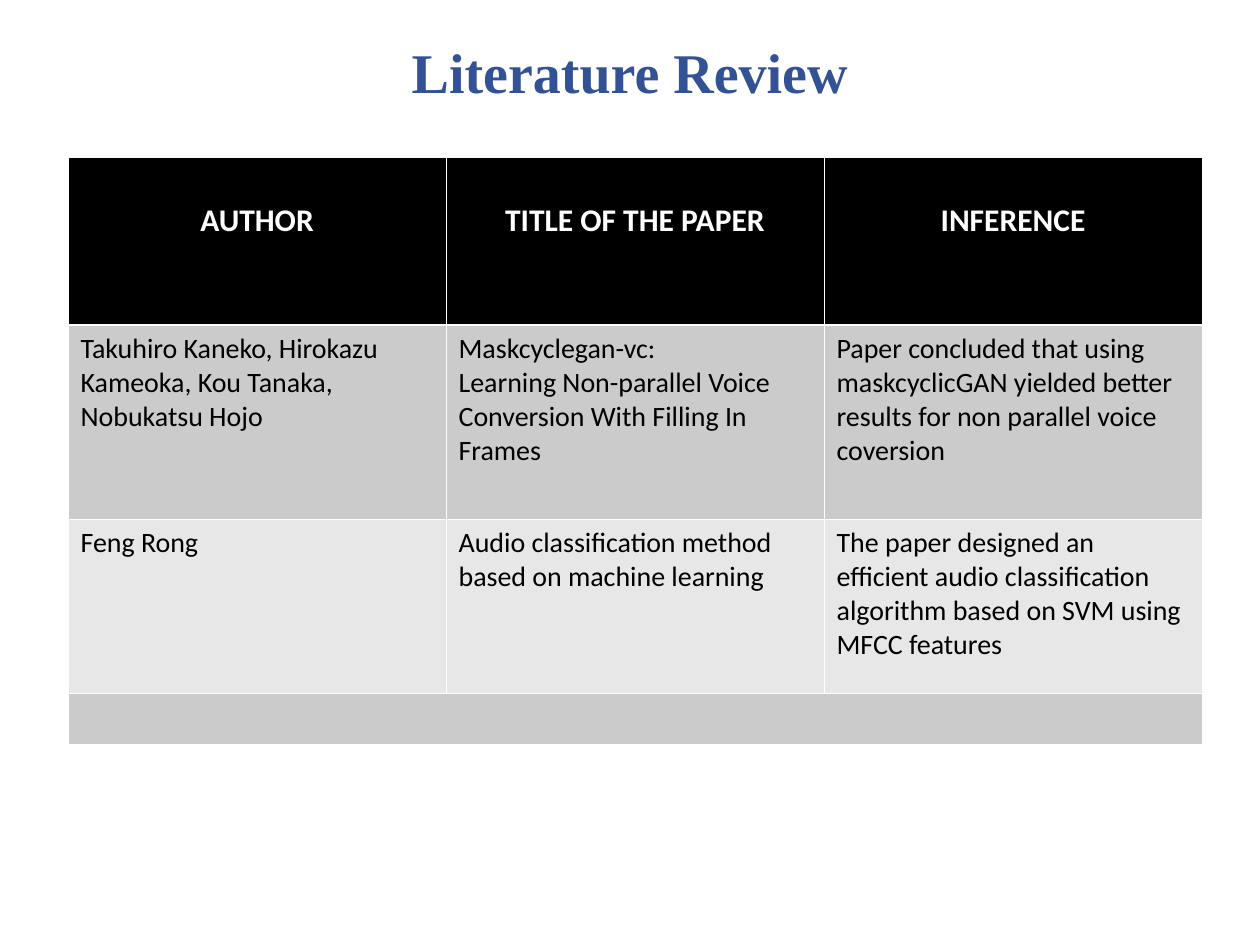
from lxml import etree
from pptx import Presentation
from pptx.dml.color import RGBColor
from pptx.enum import text
from pptx.oxml.ns import qn
from pptx.util import Inches, Pt

TITLE = "Literature Review"
HEADERS = ["AUTHOR", "TITLE OF THE PAPER", "INFERENCE"]
PAPERS = [
    ["Takuhiro Kaneko, Hirokazu Kameoka, Kou Tanaka, Nobukatsu Hojo",
     "Maskcyclegan-vc:\nLearning Non-parallel Voice Conversion With Filling In Frames",
     "Paper concluded that using maskcyclicGAN yielded better results for non parallel voice coversion"],
    ["Feng Rong",
     "Audio classification method based on machine learning",
     "The paper designed an efficient audio classification algorithm based on SVM using MFCC features"],
]
ROWS = [HEADERS, *PAPERS, [""] * len(HEADERS)]
ROW_HEIGHTS = [1.33, 1.54, 1.38, 0.41]
COLUMN_WIDTH = 3
HEADER_TOP_MARGIN = 0.35
THIN, THICK = 0.45, 1.47

COLORS = {"title": "335295", "header": "000000", "header_text": "FFFFFF",
          "odd": "CBCBCB", "even": "E7E7E7", "body_text": "000000",
          "border": "FFFFFF"}
TITLE_FONT = {"name": "Times New Roman", "size": Pt(32), "bold": True}
HEADER_FONT = {"name": "Calibri", "size": Pt(18), "bold": True}
BODY_FONT = {"name": "Calibri", "size": Pt(16), "bold": False}


def write(frame, content, font, color, align):
    frame.text = content
    for paragraph in frame.paragraphs:
        paragraph.alignment = align
        for key, value in font.items():
            setattr(paragraph.font, key, value)
            for run in paragraph.runs:
                setattr(run.font, key, value)
        for run in paragraph.runs:
            run.font.color.rgb = RGBColor.from_string(COLORS[color])


def set_borders(cell, widths):
    """Draw the cell's sides; widths are points keyed L, R, T, B in that order."""
    properties = cell._tc.get_or_add_tcPr()
    for position, (side, width) in enumerate(widths.items()):
        line = etree.Element(qn(f"a:ln{side}"), w=str(int(Pt(width))))
        fill = etree.SubElement(line, qn("a:solidFill"))
        etree.SubElement(fill, qn("a:srgbClr"), val=COLORS["border"])
        properties.insert(position, line)


def add_title(slide):
    frame = slide.shapes.add_textbox(Inches(0.5), Inches(0.3), Inches(9), Inches(0.53)).text_frame
    frame.word_wrap = True
    frame.vertical_anchor = text.MSO_ANCHOR.MIDDLE
    for side in ("left", "right", "top", "bottom"):
        setattr(frame, f"margin_{side}", 0)
    write(frame, TITLE, TITLE_FONT, "title", text.PP_ALIGN.CENTER)


def add_review_table(slide):
    table = slide.shapes.add_table(
        len(ROWS), len(HEADERS), Inches(0.54), Inches(1.25),
        Inches(COLUMN_WIDTH * len(HEADERS)), Inches(sum(ROW_HEIGHTS))).table
    for column in table.columns:
        column.width = Inches(COLUMN_WIDTH)
    for r, (contents, height) in enumerate(zip(ROWS, ROW_HEIGHTS)):
        table.rows[r].height = Inches(height)
        band = "header" if r == 0 else "odd" if r % 2 else "even"
        for cell, content in zip(table.rows[r].cells, contents):
            cell.fill.solid()
            cell.fill.fore_color.rgb = RGBColor.from_string(COLORS[band])
            set_borders(cell, {"L": THIN, "R": THIN,
                               "T": THICK if r == 1 else THIN,
                               "B": THICK if r == 0 else THIN})
            if r == 0:
                cell.margin_top = Inches(HEADER_TOP_MARGIN)
                write(cell.text_frame, content, HEADER_FONT, "header_text", text.PP_ALIGN.CENTER)
            else:
                write(cell.text_frame, content, BODY_FONT, "body_text", text.PP_ALIGN.LEFT)
    last = len(ROWS) - 1
    table.cell(last, 0).merge(table.cell(last, len(HEADERS) - 1))


def main():
    deck = Presentation()
    deck.slide_width, deck.slide_height = Inches(10), Inches(7.5)
    slide = deck.slides.add_slide(deck.slide_layouts[6])
    add_title(slide)
    add_review_table(slide)
    deck.save("out.pptx")


if __name__ == "__main__":
    main()
